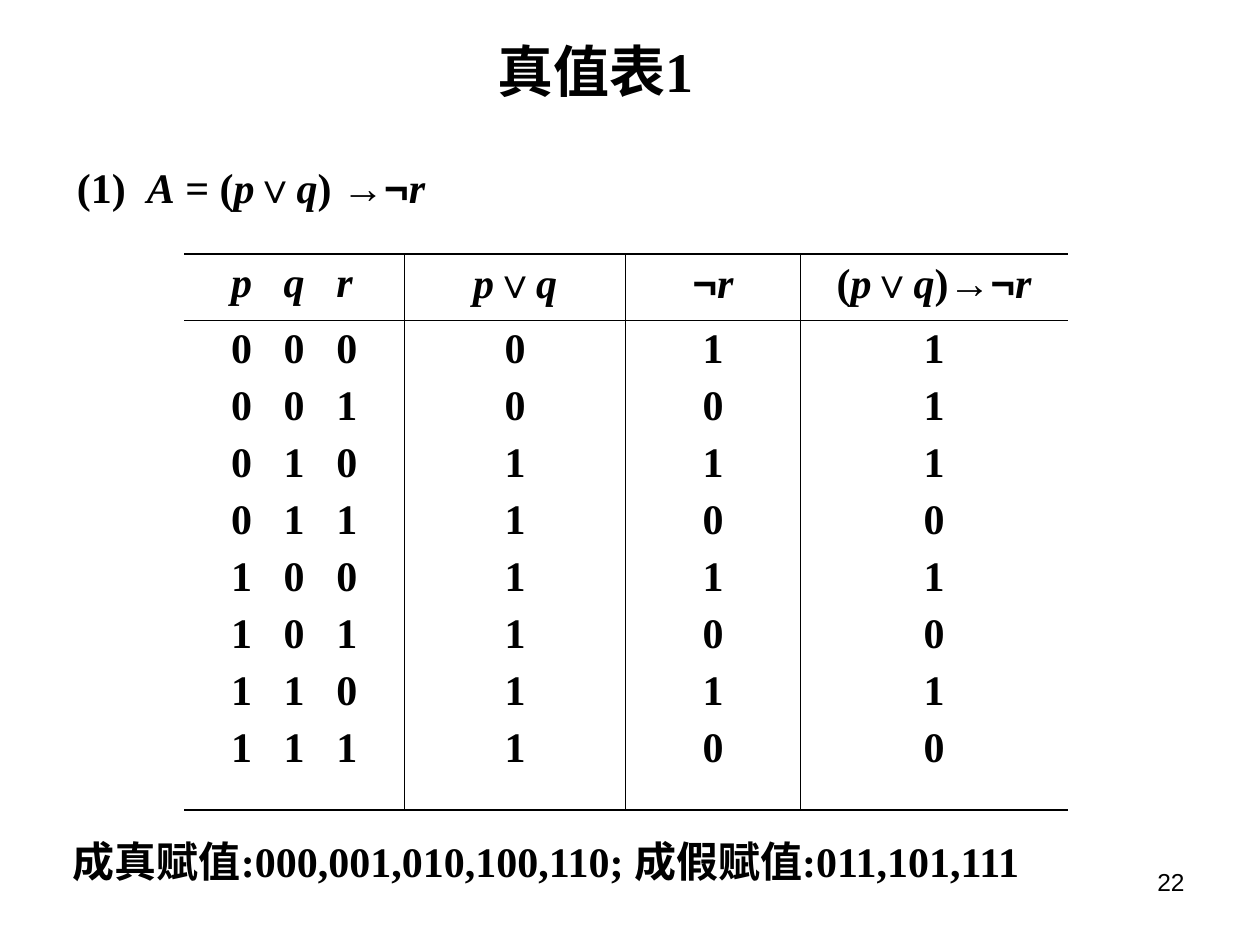
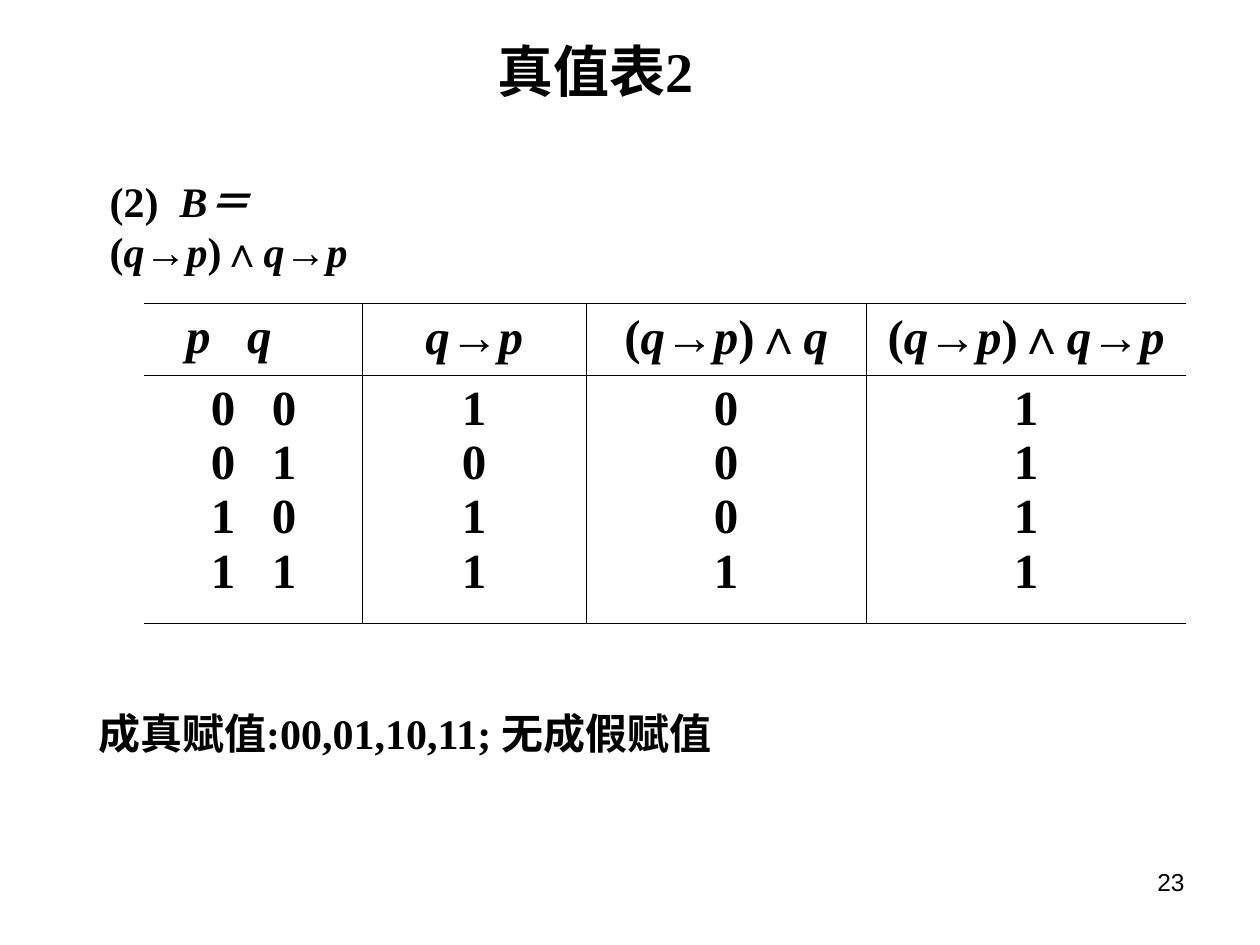
from itertools import groupby

from lxml import etree
from pptx import Presentation
from pptx.dml.color import RGBColor
from pptx.enum.text import MSO_ANCHOR, MSO_AUTO_SIZE, PP_ALIGN
from pptx.oxml.ns import qn
from pptx.util import Cm, Pt

LEFT, CENTER, RIGHT = PP_ALIGN.LEFT, PP_ALIGN.CENTER, PP_ALIGN.RIGHT
TOP, MIDDLE = MSO_ANCHOR.TOP, MSO_ANCHOR.MIDDLE
GROW = MSO_AUTO_SIZE.SHAPE_TO_FIT_TEXT

COLORS = {"ink": "000000"}
SERIF, SANS = "Times New Roman", "Arial"
OPERATORS = "∨∧→¬"
PLAIN_TABLE_STYLE = "{2D5ABB26-0587-4C30-8999-92F81FD0307C}"
THIN = 0.45
INSET = 0.25

# Boxes are left, top, width, height in centimetres
TITLE_BOX = (9.78, 0.61, 5.5, 1.63)
NUMBER_BOX = (18.21, 17.35, 5.92, 1.32)
LABEL_TAB = 1.41


def style_para(para, size, name=SERIF, bold=True, align=LEFT):
    para.alignment = align
    font = para.font
    font.name, font.size, font.bold = name, Pt(size), bold
    font.color.rgb = RGBColor.from_string(COLORS["ink"])


def set_tabs(para, stops):
    """Add left tab stops to a paragraph that is already styled."""
    defaults = para._p.pPr.find(qn("a:defRPr"))
    tab_list = etree.Element(qn("a:tabLst"))
    for stop in stops:
        etree.SubElement(tab_list, qn("a:tab"), pos=str(Cm(stop)), algn="l")
    defaults.addprevious(tab_list)


def char_style(char):
    """Font and italics of one character in a formula."""
    if char in OPERATORS:
        return SANS, False
    return SERIF, char.isalpha() or char == "＝"


def write_formula(para, formula):
    for (name, italic), chars in groupby(formula, key=char_style):
        span = para.add_run()
        span.text = "".join(chars)
        span.font.name, span.font.italic = name, italic


def add_text_box(page, box, anchor=TOP):
    shape = page.shapes.add_textbox(*map(Cm, box))
    frame = shape.text_frame
    frame.word_wrap = True
    frame.vertical_anchor = anchor
    return frame


def add_title(page, text):
    title = page.shapes.title
    title.left, title.top, title.width, title.height = map(Cm, TITLE_BOX)
    frame = title.text_frame
    frame.text = text
    frame.word_wrap = True
    frame.vertical_anchor = TOP
    style_para(frame.paragraphs[0], 32)


def add_page_number(page, number):
    para = add_text_box(page, NUMBER_BOX).paragraphs[0]
    para.text = str(number)
    style_para(para, 14, SANS, False, RIGHT)


def add_formula(page, box, formula, anchor):
    frame = add_text_box(page, box, anchor)
    frame.auto_size = GROW
    para = frame.paragraphs[0]
    write_formula(para, formula)
    style_para(para, 24)
    set_tabs(para, [LABEL_TAB])


def add_answer(page, box, text):
    para = add_text_box(page, box, MIDDLE).paragraphs[0]
    para.text = text
    style_para(para, 24)


def set_border(cell, side, width):
    """Draw one side (L, R, T or B) of a cell, or hide it when width is 0."""
    line = etree.SubElement(cell._tc.get_or_add_tcPr(), qn(f"a:ln{side}"), w=str(Pt(width)))
    if width:
        fill = etree.SubElement(line, qn("a:solidFill"))
        etree.SubElement(fill, qn("a:srgbClr"), val=COLORS["ink"])
    else:
        etree.SubElement(line, qn("a:noFill"))


def add_truth_table(page, spec):
    left, top = spec["corner"]
    widths, heights = spec["widths"], spec["heights"]
    frame = page.shapes.add_table(len(heights), len(widths), Cm(left), Cm(top),
                                  Cm(sum(widths)), Cm(sum(heights)))
    table = frame.table
    table.first_row = table.horz_banding = False
    table._tbl.tblPr.find(qn("a:tableStyleId")).text = PLAIN_TABLE_STYLE
    for column, width in zip(table.columns, widths):
        column.width = Cm(width)
    for row, height in zip(table.rows, heights):
        row.height = Cm(height)

    # One row of headings, then one row whose cells list all the values
    bodies = ([[text] for text in spec["headings"]], zip(*spec["values"]))
    last = len(widths) - 1
    for row_index, body in enumerate(bodies):
        for col_index, lines in enumerate(body):
            cell = table.cell(row_index, col_index)
            set_border(cell, "L", THIN if col_index else 0)
            set_border(cell, "R", THIN if col_index < last else 0)
            set_border(cell, "T", THIN if row_index else spec["rule"])
            set_border(cell, "B", spec["rule"] if row_index else THIN)
            cell.fill.background()
            if col_index == 0:
                cell.margin_left = Cm(INSET + spec["indents"][row_index])
            for line_index, line in enumerate(lines):
                text_frame = cell.text_frame
                para = text_frame.add_paragraph() if line_index else text_frame.paragraphs[0]
                if col_index == 0:
                    line = "\t".join(line)
                write_formula(para, line)
                style_para(para, spec["size"], align=CENTER if col_index else LEFT)
                if col_index == 0:
                    set_tabs(para, [spec["pitch"], 2 * spec["pitch"]])
                para.space_before = Pt(spec["space"])


def add_truth_slide(deck, spec):
    page = deck.slides.add_slide(deck.slide_layouts[5])
    add_formula(page, spec["formula_box"], spec["formula"], spec["formula_anchor"])
    add_answer(page, spec["answer_box"], spec["answer"])
    add_truth_table(page, spec["table"])
    add_title(page, spec["title"])
    add_page_number(page, spec["number"])


SLIDES = [
    {
        "title": "真值表1",
        "number": 22,
        "formula": "(1)\tA = (p∨q) →¬r",
        "formula_box": (1.3, 3.13, 21.59, 1.27),
        "formula_anchor": TOP,
        "answer": "成真赋值:000,001,010,100,110; 成假赋值:011,101,111",
        "answer_box": (1.22, 16.72, 20.57, 1.27),
        "table": {
            "corner": (3.71, 5.12),
            "widths": (4.45, 4.45, 3.53, 5.38),
            "heights": (1.33, 9.88),
            "size": 24, "space": 6, "rule": 1.08,
            "indents": (0.7, 0.7), "pitch": 1.06,
            "headings": ("pqr", "p∨q", "¬r", "(p∨q)→¬r"),
            "values": [
                ("000", "0", "1", "1"),
                ("001", "0", "0", "1"),
                ("010", "1", "1", "1"),
                ("011", "1", "0", "0"),
                ("100", "1", "1", "1"),
                ("101", "1", "0", "0"),
                ("110", "1", "1", "1"),
                ("111", "1", "0", "0"),
            ],
        },
    },
    {
        "title": "真值表2",
        "number": 23,
        "formula": "(2)\tB＝(q→p)∧q→p",
        "formula_box": (1.96, 3.91, 7.65, 1.27),
        "formula_anchor": MIDDLE,
        "answer": "成真赋值:00,01,10,11; 无成假赋值",
        "answer_box": (1.73, 14.13, 13.34, 1.27),
        "table": {
            "corner": (2.9, 6.12),
            "widths": (4.4, 4.52, 5.64, 6.45),
            "heights": (1.45, 5),
            "size": 28, "space": 0, "rule": THIN,
            "indents": (0.6, 1.1), "pitch": 1.23,
            "headings": ("pq", "q→p", "(q→p)∧q", "(q→p)∧q→p"),
            "values": [
                ("00", "1", "0", "1"),
                ("01", "0", "0", "1"),
                ("10", "1", "0", "1"),
                ("11", "1", "1", "1"),
            ],
        },
    },
]


def main():
    deck = Presentation()
    deck.slide_width, deck.slide_height = Cm(25.4), Cm(19.05)
    for spec in SLIDES:
        add_truth_slide(deck, spec)
    deck.save("out.pptx")


if __name__ == "__main__":
    main()
